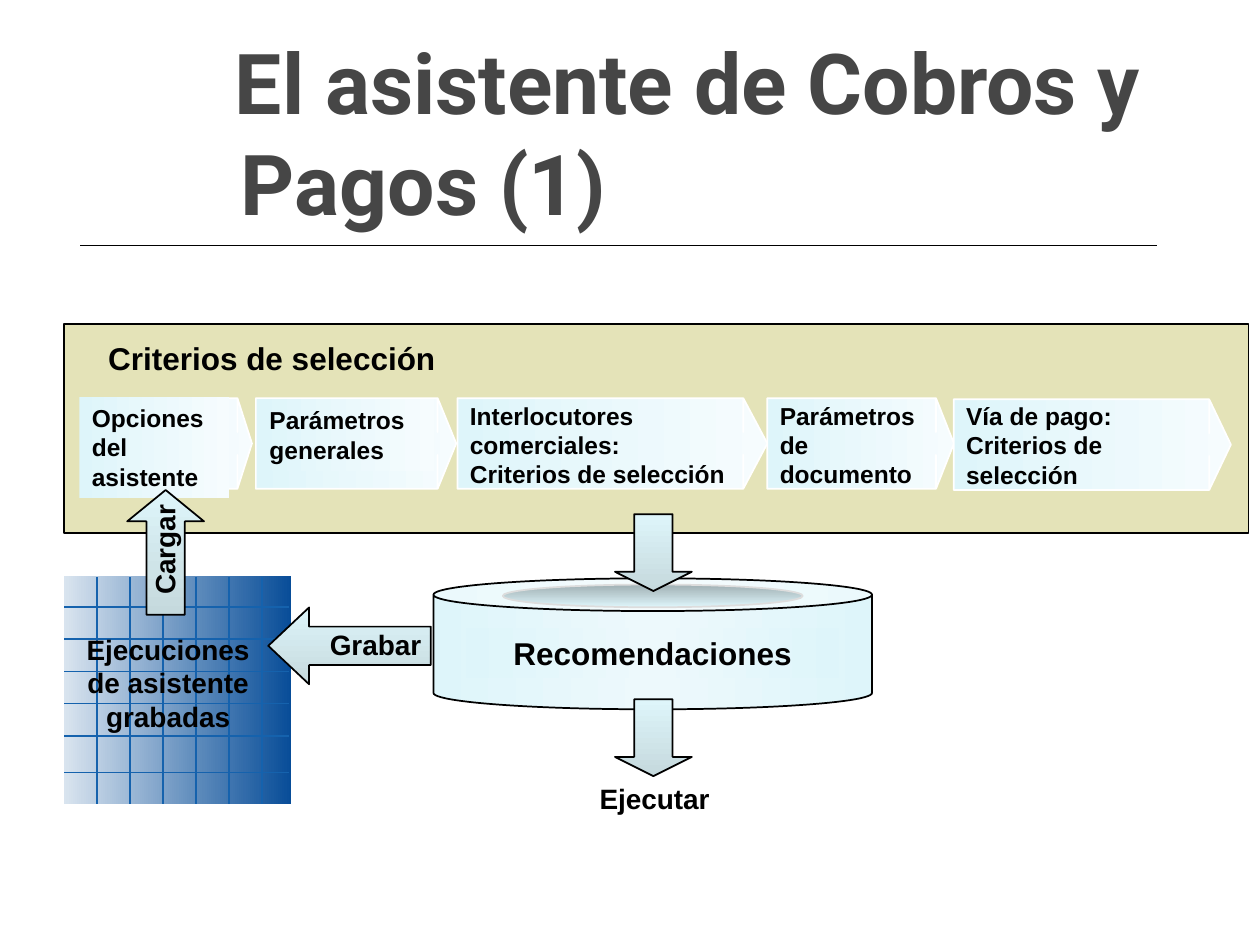
from dataclasses import dataclass

from lxml import etree
from pptx import Presentation
from pptx.dml.color import RGBColor
from pptx.enum.shapes import MSO_CONNECTOR, MSO_SHAPE
from pptx.enum.text import MSO_ANCHOR, MSO_AUTO_SIZE, PP_ALIGN
from pptx.oxml.ns import qn
from pptx.util import Pt

RECT = MSO_SHAPE.RECTANGLE
CAN = MSO_SHAPE.CAN
OVAL = MSO_SHAPE.OVAL
DOWN = MSO_SHAPE.DOWN_ARROW
CALL = MSO_SHAPE.RIGHT_ARROW_CALLOUT
LINE = MSO_CONNECTOR.STRAIGHT
LEFT, MID = PP_ALIGN.LEFT, PP_ALIGN.CENTER
TOP, HALF = MSO_ANCHOR.TOP, MSO_ANCHOR.MIDDLE
GROW, FIXED = MSO_AUTO_SIZE.SHAPE_TO_FIT_TEXT, MSO_AUTO_SIZE.NONE


@dataclass(frozen=True)
class Theme:
    ink: str = "000000"
    head: str = "464646"
    panel: str = "E4E3B8"
    grid: str = "1562AD"
    edge: str = "FFFFFF"
    rim: str = "DDDDDD"
    store: tuple = ("D9E4EF", "084D98")
    drum: tuple = ("DEF5FA", "EDF9FC", "DEF5FA")
    step: tuple = ("DEF5FA", "F6FCFE")
    arrow: tuple = ("DEF5FA", "C5D9DD")
    well: tuple = ("9FAFB3", "DEF5FA")
    font: str = "Arial"
    title: str = "Roboto"
    huge: int = 48
    large: int = 18
    mid: int = 16
    small: int = 14


T = Theme()


def rgb(code):
    return RGBColor.from_string(code)


def shade(shape, tones, angle):
    shape.fill.gradient()
    shape.fill.gradient_angle = (360 - angle) % 360
    grad = shape._element.spPr.find(qn("a:gradFill"))
    grad.set("rotWithShape", "0")
    stops = grad.find(qn("a:gsLst"))
    for old in list(stops):
        stops.remove(old)
    for i, tone in enumerate(tones):
        stop = etree.SubElement(stops, qn("a:gs"), pos=str(100000 * i // (len(tones) - 1)))
        etree.SubElement(stop, qn("a:srgbClr"), val=tone)


def block(slide, kind, box, fill, line=None, angle=0, turn=0, adjust=()):
    shape = slide.shapes.add_shape(kind, *map(Pt, box))
    shape.shadow.inherit = False
    for i, value in enumerate(adjust):
        shape.adjustments[i] = value
    if isinstance(fill, tuple):
        shade(shape, fill, angle)
    else:
        shape.fill.solid()
        shape.fill.fore_color.rgb = rgb(fill)
    if line:
        shape.line.color.rgb = rgb(line)
        shape.line.width = Pt(1)
    else:
        shape.line.fill.background()
    shape.rotation = turn
    return shape


def write(shape, text, size, font=T.font, color=T.ink, align=LEFT, anchor=TOP,
          wrap=True, fit=GROW, inset=(7.2, 3.6, 7.2, 3.6)):
    frame = shape.text_frame
    frame.word_wrap = wrap
    frame.auto_size = fit
    frame.vertical_anchor = anchor
    frame.margin_left, frame.margin_top, frame.margin_right, frame.margin_bottom = map(Pt, inset)
    para = frame.paragraphs[0]
    para.text = text
    para.alignment = align
    for run in para.runs:
        run.font.name = font
        run.font.size = Pt(size)
        run.font.bold = True
        run.font.color.rgb = rgb(color)
    return para


def label(slide, box, text, size, turn=0, **style):
    shape = slide.shapes.add_textbox(*map(Pt, box))
    shape.rotation = turn
    return write(shape, text, size, **style)


def rule(slide, ends, color, width=1):
    line = slide.shapes.add_connector(LINE, *map(Pt, ends))
    line.line.color.rgb = rgb(color)
    line.line.width = Pt(width)
    etree.SubElement(line._element.spPr, qn("a:effectLst"))


def arrow(slide, box, turn=0, head=0.25):
    block(slide, DOWN, box, T.arrow, T.ink, angle=90, turn=turn, adjust=(0.5, head))


def store(slide):
    block(slide, RECT, (36.7, 329, 129.6, 130.3), T.store)
    for y in [347 + 18.35 * i for i in range(5)] + [441.4]:
        rule(slide, (36.7, y, 165, y), T.grid)
    for i in range(6):
        x = 55.4 + 18.88 * i
        rule(slide, (x, 329.8, x, 459.4), T.grid)
    label(slide, (39.6, 357.8, 113, 64.8), "Ejecuciones de asistente grabadas", T.mid, align=MID)


def heading(slide):
    para = label(slide, (95.8, 22.3, 608.4, 105.8), "El asistente de Cobros y Pagos (1)",
                 T.huge, font=T.title, color=T.head, anchor=HALF, fit=FIXED, inset=(14.4, 0, 0, 0))
    props = para._p.get_or_add_pPr()
    props.set("marL", str(Pt(27.4)))
    props.set("indent", str(Pt(-3.4)))


def drum(slide):
    block(slide, CAN, (247.7, 330.5, 250.6, 74.9), T.drum, T.ink, adjust=(0.25,))
    band = block(slide, RECT, (266.4, 358.6, 213.1, 28.8), T.drum)
    write(band, "Recomendaciones", T.large, align=MID)
    block(slide, OVAL, (287.3, 334, 171.4, 13), T.well, T.rim, angle=90)


def steps(slide):
    rows = [
        (54.7, 227.5, 89.3, 0.16, 0.907, (45.4, 226.8, 85.7, 57.6), T.step, TOP,
         "Opciones del asistente"),
        (146.2, 227.5, 114.5, 0.205, 0.907, (146.9, 228.2, 101.5, 41), T.step, TOP,
         "Parámetros generales"),
        (261.4, 227.5, 177.1, 0.266, 0.922, (261.4, 225.4, 172.8, 57.6), None, TOP,
         "Interlocutores comerciales:\nCriterios de selección"),
        (438.5, 227.5, 106.6, 0.198, 0.903, (438.5, 225.4, 106.6, 57.6), None, TOP,
         "Parámetros de documento"),
        (545, 228.2, 158.4, 0.239, 0.922, (545, 225.4, 158.4, 57.6), None, HALF,
         "Vía de pago:\nCriterios de selección"),
    ]
    for x, y, wide, tip, body, box, fill, anchor, text in rows:
        block(slide, CALL, (x, y, wide, 51.8), T.step, T.edge, adjust=(0.252, 0.5, tip, body))
        if fill:
            write(block(slide, RECT, box, fill), text, T.small, anchor=anchor)
        else:
            label(slide, box, text, T.small, anchor=anchor)


def flow(slide):
    for y in (293.8, 399.6):
        arrow(slide, (351.4, y, 43.9, 43.9))
    arrow(slide, (177.8, 322.6, 43.9, 92.9), turn=90, head=0.531)
    arrow(slide, (72.7, 280, 43.9, 71.3), turn=180, head=0.408)
    for box, text, turn in [
        ((335.5, 442.8, 84, 26.6), "Ejecutar", 0),
        ((181.4, 355, 72, 26.6), "Grabar", 0),
        ((58, 297.7, 72, 26.6), "Cargar", 270),
    ]:
        label(slide, box, text, T.mid, turn=turn, wrap=True)


def main():
    deck = Presentation()
    deck.slide_width, deck.slide_height = Pt(720), Pt(540)
    slide = deck.slides.add_slide(deck.slide_layouts[6])
    store(slide)
    heading(slide)
    block(slide, RECT, (36.7, 185, 676.8, 119.5), T.panel, T.ink)
    label(slide, (54.7, 190, 201.6, 28.8), "Criterios de selección", T.large, wrap=False)
    drum(slide)
    steps(slide)
    flow(slide)
    rule(slide, (46, 140.4, 661, 140.4), T.ink, 0.75)
    deck.save("out.pptx")


if __name__ == "__main__":
    main()
